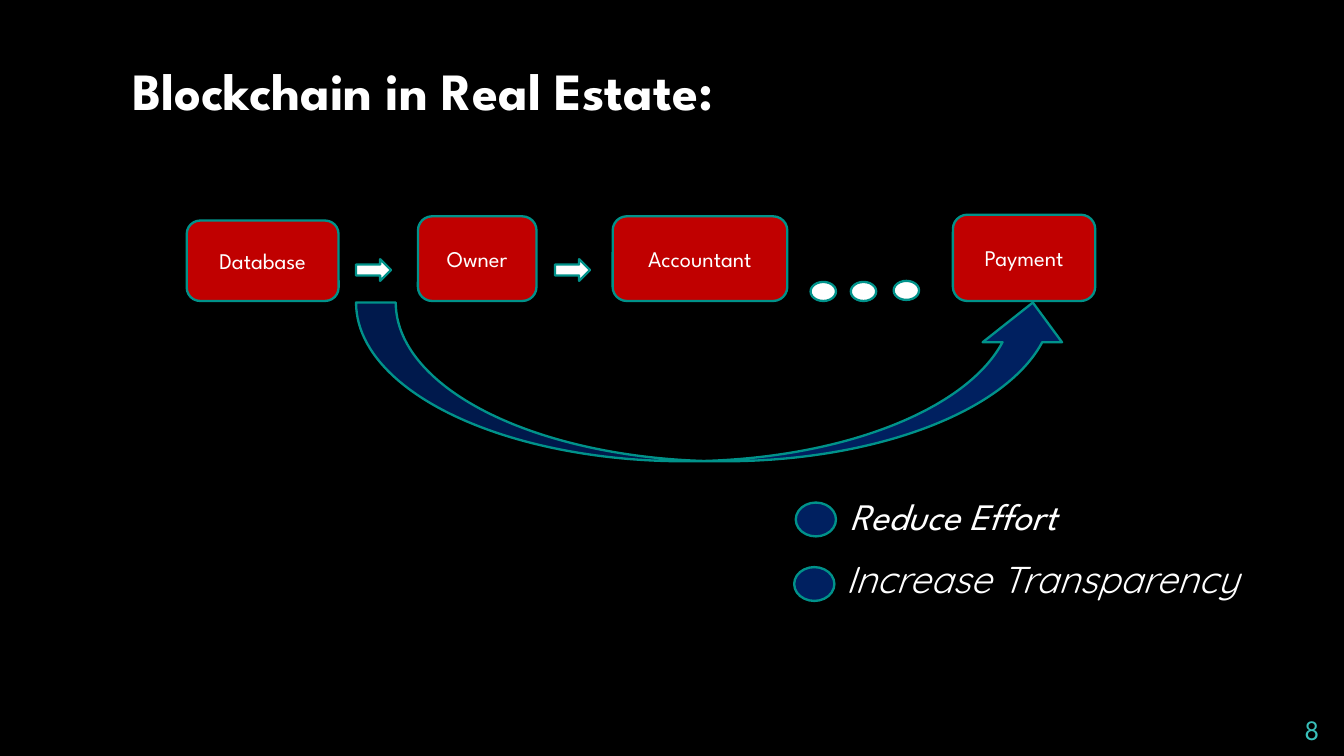
from pptx import Presentation
from pptx.dml.color import RGBColor
from pptx.enum.shapes import MSO_SHAPE as Preset
from pptx.enum.text import MSO_ANCHOR as Anchor, PP_ALIGN as Align
from pptx.util import Cm, Pt

BLACK, WHITE, RED = "000000", "FFFFFF", "C00000"
NAVY, TEAL, AQUA = "002060", "00928A", "39C0BA"


def color(value):
    return RGBColor.from_string(value)


def write(frame, text, size=12, font="League Spartan", fill=WHITE, bold=False,
          italic=False, align=Align.LEFT, anchor=Anchor.MIDDLE, before=0):
    """Put one formatted paragraph into a text frame."""
    frame.word_wrap = True
    frame.vertical_anchor = anchor
    paragraph = frame.paragraphs[0]
    paragraph.alignment = align
    paragraph.space_before = Pt(before)
    run = paragraph.add_run()
    run.text = text
    run.font.name = font
    run.font.size = Pt(size)
    run.font.bold = bold
    run.font.italic = italic
    run.font.color.rgb = color(fill)


def add_text(slide, text, left, top, width, height, inset=0.25, **style):
    box = slide.shapes.add_textbox(Cm(left), Cm(top), Cm(width), Cm(height))
    frame = box.text_frame
    frame.margin_left = Cm(inset)
    frame.margin_top = frame.margin_right = frame.margin_bottom = Cm(0.25)
    write(frame, text, **style)


def add_figure(slide, preset, fill, left, top, width, height):
    """Add a preset shape with the teal outline shared by the diagram."""
    shape = slide.shapes.add_shape(preset, Cm(left), Cm(top), Cm(width), Cm(height))
    shape.shadow.inherit = False
    shape.fill.solid()
    shape.fill.fore_color.rgb = color(fill)
    shape.line.color.rgb = color(TEAL)
    shape.line.width = Pt(1.25)
    return shape


def add_step(slide, text, *place):
    shape = add_figure(slide, Preset.ROUNDED_RECTANGLE, RED, *place)
    write(shape.text_frame, text, align=Align.CENTER)


def add_benefit(slide, text, left, top, bullet_left, bullet_top, font):
    add_figure(slide, Preset.OVAL, NAVY, bullet_left, bullet_top, 0.76, 0.64)
    add_text(slide, text, left, top, 8.81, 1.96, inset=0.41, size=20,
             font=font, italic=True, before=6)


def main():
    presentation = Presentation()
    presentation.slide_width = Cm(25.4)
    presentation.slide_height = Cm(14.29)
    slide = presentation.slides.add_slide(presentation.slide_layouts[6])
    slide.background.fill.solid()
    slide.background.fill.fore_color.rgb = color(BLACK)

    # Title and slide number
    add_text(slide, "Blockchain in Real Estate:", 2.26, 0.58, 19.05, 1.96,
             size=28, bold=True, anchor=Anchor.BOTTOM)
    add_text(slide, "8", 23.67, 13.21, 1.52, 0.86, size=15, fill=AQUA,
             align=Align.RIGHT, anchor=Anchor.TOP)

    # Process steps
    add_step(slide, "Database", 3.53, 4.17, 2.87, 1.52)
    add_step(slide, "Owner", 7.9, 4.09, 2.24, 1.6)
    add_step(slide, "Accountant", 11.58, 4.09, 3.3, 1.6)
    add_step(slide, "Payment", 18.01, 4.06, 2.69, 1.63)

    # Arrows and dots between the steps
    for left in (6.73, 10.49):
        add_figure(slide, Preset.RIGHT_ARROW, WHITE, left, 4.9, 0.66, 0.41)
    for left, top in ((15.32, 5.33), (16.08, 5.33), (16.89, 5.31)):
        add_figure(slide, Preset.OVAL, WHITE, left, top, 0.48, 0.36)

    # Shortcut from database to payment
    add_figure(slide, Preset.CURVED_UP_ARROW, NAVY, 6.73, 5.72, 13.54, 3)

    # Benefits
    add_benefit(slide, "Reduce Effort", 15.65, 8.76, 15.04, 9.5, "League Spartan")
    add_benefit(slide, "Increase Transparency", 15.57, 9.96, 15.01, 10.72, "Quicksand")

    presentation.save("out.pptx")


if __name__ == "__main__":
    main()
